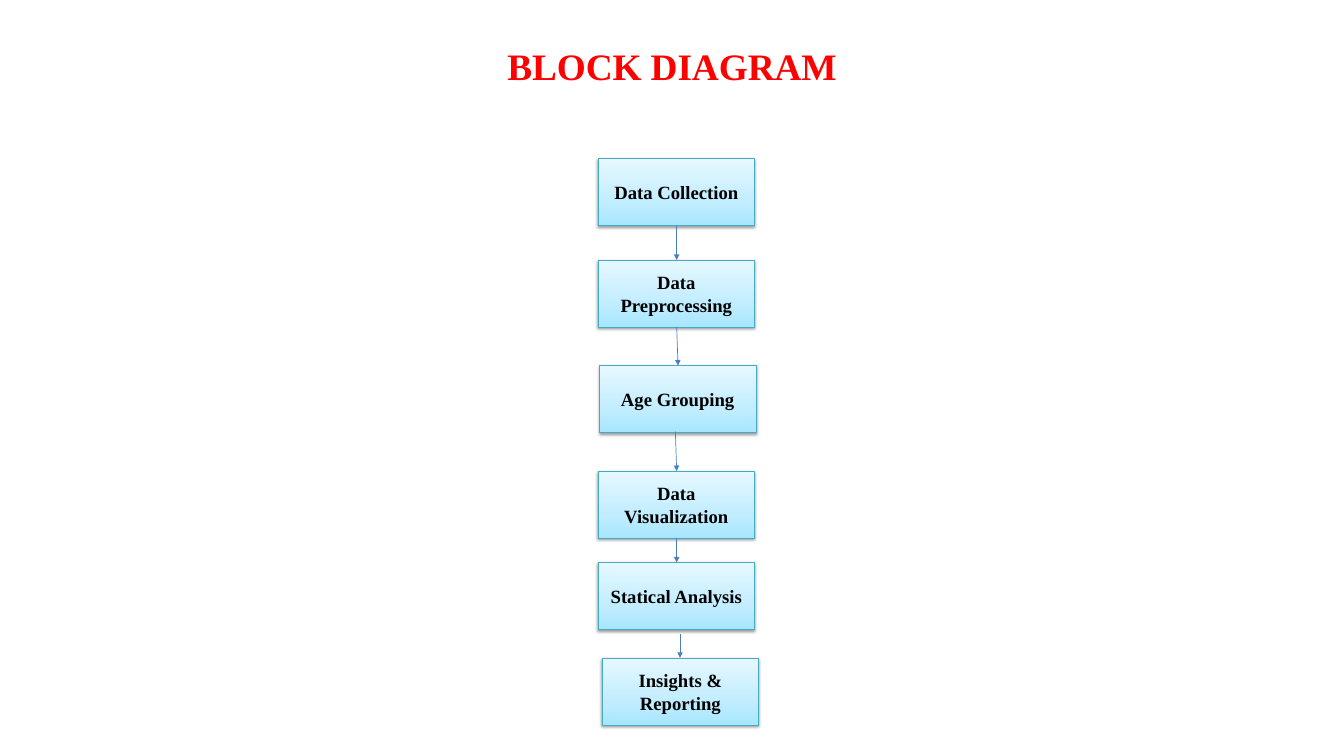
import copy
import pptx
import pptx.util
import pptx.dml.color
import pptx.enum.shapes
import pptx.enum.text
import pptx.oxml
import pptx.oxml.ns

Inches = pptx.util.Inches
RGBColor = pptx.dml.color.RGBColor
ALIGN = pptx.enum.text.PP_ALIGN
ANCHOR = pptx.enum.text.MSO_ANCHOR

RED = RGBColor(0xFF, 0x00, 0x00)
BLACK = RGBColor(0x00, 0x00, 0x00)
BOX_EDGE = RGBColor(0x46, 0xAA, 0xC5)
ARROW_BLUE = RGBColor(0x4B, 0x7E, 0xBC)
BOX_GRADIENT = [
    (0, RGBColor(0xA7, 0xE6, 0xFF)),
    (0.35, RGBColor(0xC1, 0xED, 0xFF)),
    (1, RGBColor(0xE7, 0xF8, 0xFF)),
]
NAMESPACE = pptx.oxml.ns.nsdecls("a")
BOX_SHADOW = (
    f'<a:effectLst {NAMESPACE}><a:outerShdw blurRad="40000" dist="20000" dir="5400000" rotWithShape="0">'
    '<a:srgbClr val="000000"><a:alpha val="38000"/></a:srgbClr></a:outerShdw></a:effectLst>'
)


def write_text(shape, text, size, color, align, anchor):
    frame = shape.text_frame
    frame.word_wrap = True
    frame.auto_size = pptx.enum.text.MSO_AUTO_SIZE.NONE
    frame.vertical_anchor = anchor
    para = frame.paragraphs[0]
    para.alignment = align
    span = para.add_run()
    span.text = text
    span.font.name = "Times New Roman"
    span.font.size = pptx.util.Pt(size)
    span.font.bold = True
    span.font.color.rgb = color
    return span


deck = pptx.Presentation()
deck.slide_width = Inches(20)
deck.slide_height = Inches(11.25)
page = deck.slides.add_slide(deck.slide_layouts[5])

title = page.shapes.title
title.left, title.top = Inches(7.45), Inches(0.52)
title.width, title.height = Inches(10.45), Inches(0.77)
heading = write_text(title, "BLOCK DIAGRAM", size=40, color=RED, align=ALIGN.LEFT, anchor=ANCHOR.TOP)
heading.font._element.set("spc", "-10")
title.text_frame.margin_top = Inches(0.12)
title.text_frame.margin_bottom = 0

steps = [
    ("Data Collection", 8.9, 2.36),
    ("Data Preprocessing", 8.9, 3.87),
    ("Age Grouping", 8.92, 5.44),
    ("Data Visualization", 8.9, 7.01),
    ("Statical Analysis", 8.9, 8.37),
    ("Insights & Reporting", 8.96, 9.79),
]
for label, left, top in steps:
    box = page.shapes.add_shape(
        pptx.enum.shapes.MSO_SHAPE.RECTANGLE, Inches(left), Inches(top), Inches(2.33), Inches(1)
    )
    box.fill.gradient()
    box.fill.gradient_angle = 90
    stop_list = box._element.spPr.find(".//" + pptx.oxml.ns.qn("a:gsLst"))
    stop_list.append(copy.deepcopy(stop_list[-1]))
    for stop, (position, color) in zip(box.fill.gradient_stops, BOX_GRADIENT):
        stop.position = position
        stop.color.rgb = color
    box.line.color.rgb = BOX_EDGE
    box.line.width = pptx.util.Pt(0.75)
    box._element.spPr.append(pptx.oxml.parse_xml(BOX_SHADOW))
    write_text(box, label, size=20, color=BLACK, align=ALIGN.CENTER, anchor=ANCHOR.MIDDLE)

arrows = [
    (10.07, 3.36, 10.07, 3.87),
    (10.07, 4.87, 10.09, 5.44),
    (10.05, 6.42, 10.07, 7.01),
    (10.07, 8.01, 10.07, 8.37),
    (10.12, 9.44, 10.12, 9.79),
]
for ends in arrows:
    arrow = page.shapes.add_connector(
        pptx.enum.shapes.MSO_CONNECTOR.STRAIGHT, *[Inches(value) for value in ends]
    )
    arrow.line.color.rgb = ARROW_BLUE
    arrow.line.width = pptx.util.Pt(0.75)
    arrow.line._get_or_add_ln().append(pptx.oxml.parse_xml(f'<a:tailEnd {NAMESPACE} type="triangle"/>'))
    arrow._element.spPr.append(pptx.oxml.parse_xml(f"<a:effectLst {NAMESPACE}/>"))

deck.save("out.pptx")
